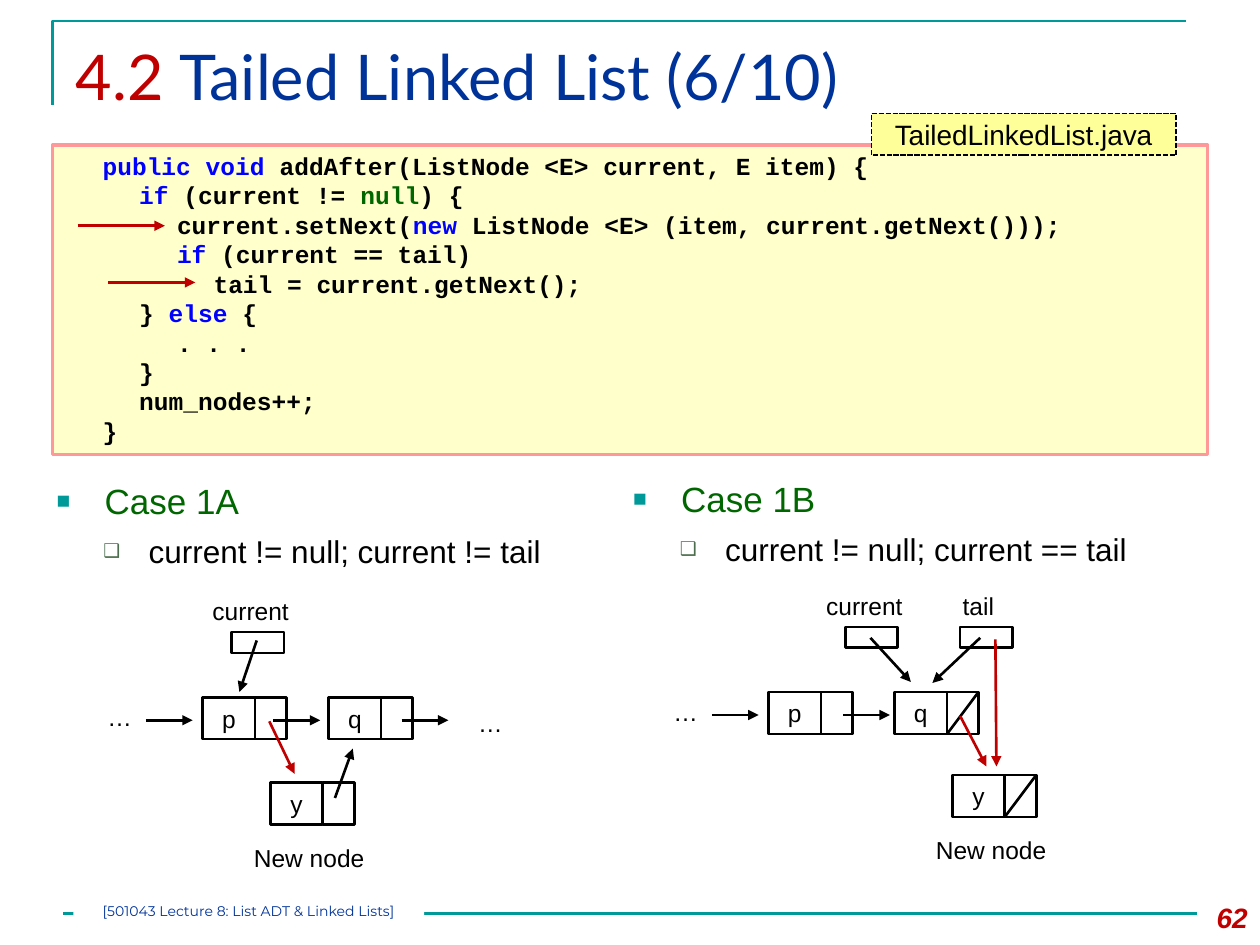
from lxml.etree import SubElement
from pptx import Presentation
from pptx.dml.color import RGBColor
from pptx.enum.dml import MSO_LINE
from pptx.enum.shapes import MSO_CONNECTOR, MSO_SHAPE
from pptx.enum.text import MSO_ANCHOR, MSO_AUTO_SIZE, PP_ALIGN
from pptx.oxml.ns import qn
from pptx.util import Inches, Pt

BLACK = RGBColor(0x00, 0x00, 0x00)
WHITE = RGBColor(0xFF, 0xFF, 0xFF)
TEAL = RGBColor(0x00, 0x99, 0x99)
RED = RGBColor(0xC0, 0x00, 0x00)
NAVY = RGBColor(0x00, 0x33, 0x99)
BLUE = RGBColor(0x00, 0x00, 0xFF)
GREEN = RGBColor(0x00, 0x66, 0x00)
MOSS = RGBColor(0x4C, 0x6D, 0x4E)
CREAM = RGBColor(0xFF, 0xFF, 0xCC)
LEMON = RGBColor(0xFF, 0xFF, 0x99)
PINK = RGBColor(0xFF, 0x99, 0x99)

WIDE, HIGH = Inches(10), Inches(7.5)
COL, ROW = WIDE / 120, HIGH / 90
DATA, NEXT, TALL, STEP = 5, 3, 4, 12
MID = 2.2

CODE = [
    (1, [("public void ", BLUE), ("addAfter(ListNode <E> current, E item) {", BLACK)]),
    (2, [("if ", BLUE), ("(current != ", BLACK), ("null", GREEN), (") {", BLACK)]),
    (3, [("current.setNext(", BLACK), ("new", BLUE),
         (" ListNode <E> (item, current.getNext()));", BLACK)]),
    (3, [("if", BLUE), (" (current == tail)", BLACK)]),
    (4, [("tail = current.getNext();", BLACK)]),
    (2, [("} ", BLACK), ("else", BLUE), (" {", BLACK)]),
    (3, [(". . .", BLACK)]),
    (2, [("}", BLACK)]),
    (2, [("num_nodes++;", BLACK)]),
    (1, [("}", BLACK)]),
]


def area(x, y, w, h):
    return round(x * COL), round(y * ROW), round(w * COL), round(h * ROW)


def place(shape, box):
    shape.left, shape.top, shape.width, shape.height = area(*box)


def write(para, text, size, color=BLACK, face="Arial", bold=False, slant=False):
    run = para.add_run()
    run.text = text
    font = run.font
    font.name, font.size, font.bold, font.italic = face, Pt(size), bold, slant
    font.color.rgb = color


def label(slide, box, text, size=14, align=PP_ALIGN.LEFT, **style):
    frame = slide.shapes.add_textbox(*area(*box)).text_frame
    frame.word_wrap = True
    para = frame.paragraphs[0]
    para.alignment = align
    write(para, text, size, **style)


def block(slide, box, fill=None, edge=BLACK, thick=1.5):
    shape = slide.shapes.add_shape(MSO_SHAPE.RECTANGLE, *area(*box))
    shape.shadow.inherit = False
    if fill is None:
        shape.fill.background()
    else:
        shape.fill.solid()
        shape.fill.fore_color.rgb = fill
    if edge is None:
        shape.line.fill.background()
    else:
        shape.line.color.rgb = edge
        shape.line.width = Pt(thick)
    frame = shape.text_frame
    frame.word_wrap = True
    frame.vertical_anchor = MSO_ANCHOR.MIDDLE
    frame.paragraphs[0].alignment = PP_ALIGN.CENTER
    return shape


def stroke(slide, x, y, ends, color=BLACK, head=True):
    a, b, c, d = ends
    start, stop = area(x + a, y + b, 0, 0)[:2], area(x + c, y + d, 0, 0)[:2]
    line = slide.shapes.add_connector(MSO_CONNECTOR.STRAIGHT, *start, *stop)
    line.line.color.rgb = color
    line.line.width = Pt(1.5)
    if head:
        SubElement(line.line._get_or_add_ln(), qn("a:tailEnd"), type="triangle")
    SubElement(line._element.spPr, qn("a:effectLst"))


def node(slide, x, y, name, null=False):
    cell = block(slide, (x, y, DATA, TALL))
    write(cell.text_frame.paragraphs[0], name, 14)
    block(slide, (x + DATA, y, NEXT, TALL))
    if null:
        stroke(slide, x + DATA, y, (0, TALL, NEXT, 0), head=False)


def fresh(slide, x, y, null=False):
    node(slide, x, y, "y", null)
    label(slide, (x - 2.75, y + 5.1, 13.5, TALL), "New node")


def ref(slide, x, y, name, shift, wide):
    label(slide, (x - shift, y - 4, wide, TALL), name)
    block(slide, (x, y, DATA, 2), WHITE)


def dots(slide, x, y):
    label(slide, (x, y, 5.8, TALL), "…", align=PP_ALIGN.CENTER)


def chain(slide, x, y, gap, null=False):
    dots(slide, x - 10.8, y - 0.1)
    node(slide, x, y, "p")
    node(slide, x + STEP, y, "q", null)
    for left in (-5.4, gap):
        stroke(slide, x, y, (left, MID, left + 4.45, MID))


def inner(slide, x, y):
    ref(slide, x + 2.75, y - 6.2, "current", 3, 10.5)
    chain(slide, x, y, 6.75)
    stroke(slide, x, y, (18.95, MID, 23.4, MID))
    dots(slide, x + 24.5, y + 0.4)
    fresh(slide, x + 6.45, y + 8.15)
    stroke(slide, x, y, (12.6, 9.6, 14.3, 4.9))
    stroke(slide, x, y, (6.35, 2.3, 8.75, 7.3), RED)
    stroke(slide, x, y, (5.15, -5.4, 3.5, -0.5))


def outer(slide, x, y):
    ref(slide, x + 7.3, y - 6.2, "current", 3, 10.5)
    ref(slide, x + 18.25, y - 6.2, "tail", 0.95, 7)
    chain(slide, x, y, 7.1, null=True)
    fresh(slide, x + 17.5, y + 7.9, null=True)
    stroke(slide, x, y, (9.7, -5.15, 13.55, -0.95))
    stroke(slide, x, y, (20.15, -5.15, 15.6, -0.85))
    stroke(slide, x, y, (21.6, -5, 21.7, 7.1), RED)
    stroke(slide, x, y, (18.25, 2.3, 20.75, 7.1), RED)


def title(slide, box):
    shape = slide.shapes.title
    place(shape, box)
    frame = shape.text_frame
    frame.auto_size = MSO_AUTO_SIZE.NONE
    frame.vertical_anchor = MSO_ANCHOR.TOP
    para = frame.paragraphs[0]
    para.alignment = PP_ALIGN.LEFT
    write(para, "4.2 ", 36, RED, "Lato")
    write(para, "Tailed Linked List (6/10)", 36, NAVY, "Lato")


def case(shape, box, name, rule):
    place(shape, box)
    frame = shape.text_frame
    frame.auto_size = MSO_AUTO_SIZE.NONE
    rows = [(name, 20, GREEN, "■", TEAL, 65, 0.38, 0.38),
            (rule, 18, BLACK, "❑", MOSS, 60, 0.73, 0.36)]
    for level, (text, size, color, mark, tint, share, left, hang) in enumerate(rows):
        para = frame.add_paragraph() if level else frame.paragraphs[0]
        para.level = level
        para.space_before = Pt(6)
        write(para, text, size, color)
        props = para._p.get_or_add_pPr()
        props.set("marL", str(Inches(left)))
        props.set("indent", str(-Inches(hang)))
        SubElement(SubElement(props, qn("a:buClr")), qn("a:srgbClr"), val=str(tint))
        SubElement(props, qn("a:buSzPct"), val=str(share * 1000))
        SubElement(props, qn("a:buChar"), char=mark)


def code(slide, x, y, w, h):
    frame = block(slide, (x, y, w, h), CREAM, PINK, 2).text_frame
    frame.vertical_anchor = MSO_ANCHOR.TOP
    for i, (depth, parts) in enumerate(CODE):
        para = frame.add_paragraph() if i else frame.paragraphs[0]
        para.alignment = PP_ALIGN.LEFT
        para.line_spacing = Pt(16.8)
        tabs = SubElement(para._p.get_or_add_pPr(), qn("a:tabLst"))
        for stop in (0.3, 0.59, 0.89, 1.18):
            SubElement(tabs, qn("a:tab"), pos=str(Inches(stop)), algn="l")
        write(para, "\t" * depth, 14, face="Courier New", bold=True)
        for text, color in parts:
            write(para, text, 14, color, "Courier New", True)
    tag = block(slide, (x + 78, y - 3, 29, 4), LEMON, thick=1)
    tag.line.dash_style = MSO_LINE.SQUARE_DOT
    write(tag.text_frame.paragraphs[0], "TailedLinkedList.java", 16)
    for left, top in ((2.4, 7.7), (5.3, 13.1)):
        stroke(slide, x, y, (left, top, left + 8.3, top), RED)


def trim(slide, x, y, w, h):
    path = slide.shapes.build_freeform(*area(x, y + h, 0, 0)[:2])
    path.add_line_segments([area(x, y, 0, 0)[:2], area(x + w, y, 0, 0)[:2]], close=False)
    shape = path.convert_to_shape()
    shape.shadow.inherit = False
    shape.fill.background()
    shape.line.color.rgb = TEAL
    shape.line.width = Pt(1.5)


def foot(slide, x, y, w):
    stroke(slide, x, y, (0, 0, w, 0), TEAL, head=False)
    frame = block(slide, (x + 1, y - 1, 33.4, 2.4), WHITE, None).text_frame
    frame.margin_left = frame.margin_right = frame.margin_top = frame.margin_bottom = 0
    frame.vertical_anchor = MSO_ANCHOR.TOP
    write(frame.paragraphs[0], "[501043 Lecture 8: List ADT & Linked Lists]", 8, NAVY, "Montserrat")
    label(slide, (x + 106, y - 1.8, 8, 4.8), "62", 16, PP_ALIGN.RIGHT,
          color=RED, bold=True, slant=True)


def main():
    deck = Presentation()
    deck.slide_width, deck.slide_height = WIDE, HIGH
    slide = deck.slides.add_slide(deck.slide_layouts[3])
    trim(slide, 5, 2, 108, 8)
    title(slide, (6, 3, 108, 10.3))
    code(slide, 5, 13.8, 110, 29.5)
    left, right = list(slide.placeholders)[1:]
    case(left, (4.2, 45.1, 52.8, 12.4), "Case 1A", "current != null; current != tail")
    case(right, (59.1, 44.9, 52.8, 12.4), "Case 1B", "current != null; current == tail")
    inner(slide, 19.3, 66.4)
    outer(slide, 73.2, 65.9)
    foot(slide, 6, 87, 108)
    deck.save("out.pptx")


if __name__ == "__main__":
    main()
